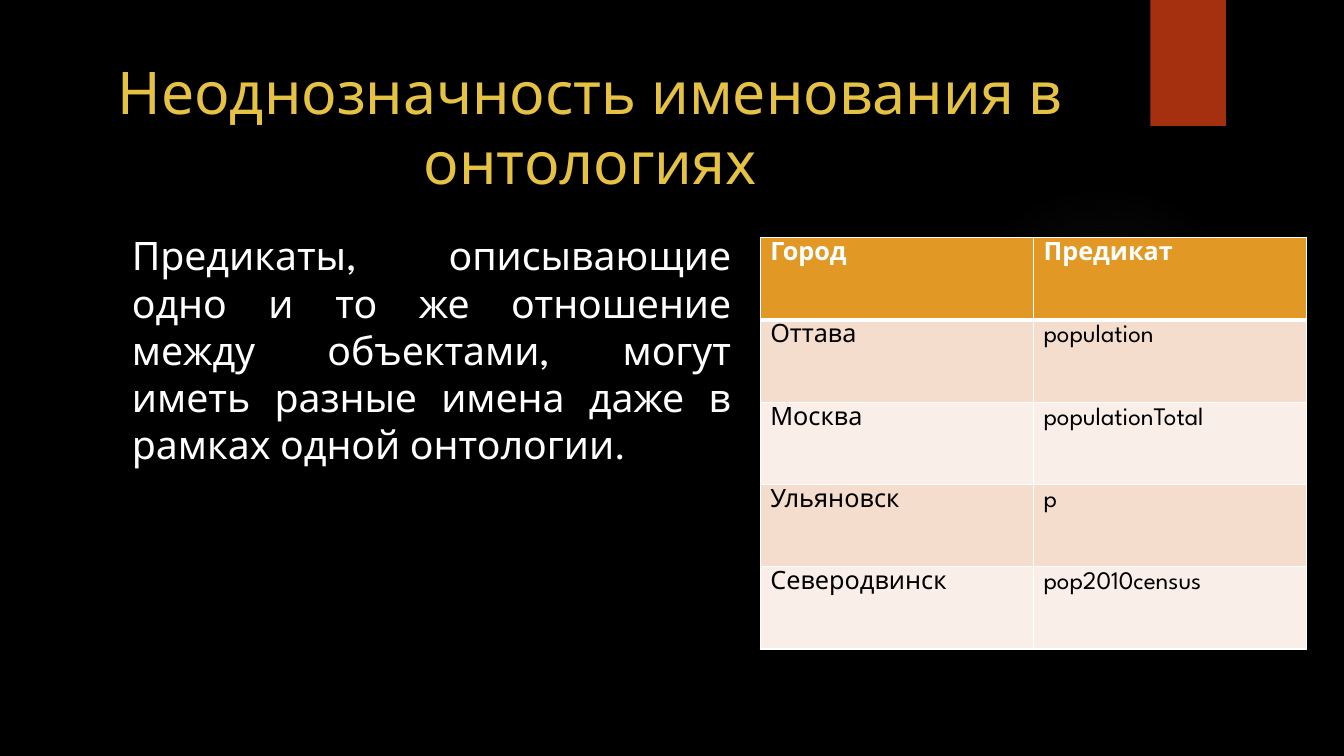
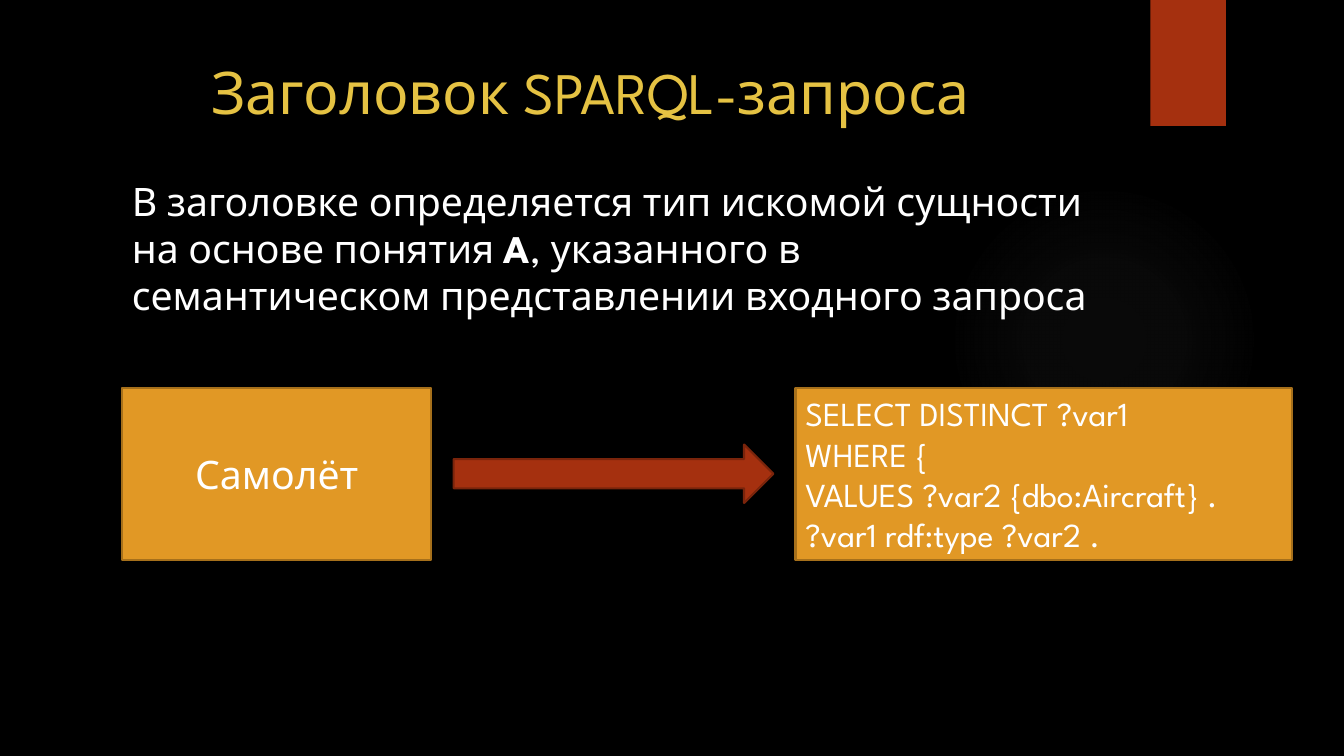
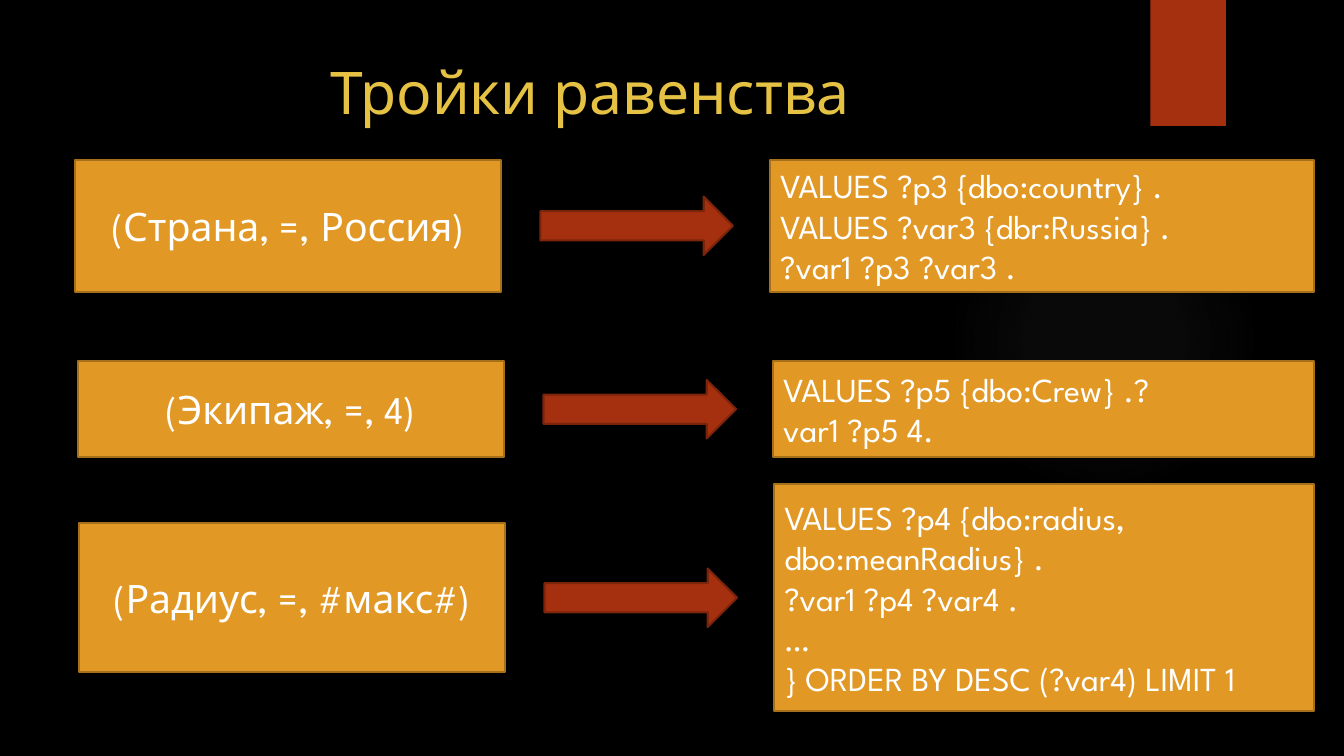
"""Build three slides on ontology naming and SPARQL query parts."""
from dataclasses import dataclass
from typing import NamedTuple

from pptx import Presentation
from pptx.dml.color import RGBColor as Rgb
from pptx.enum.shapes import MSO_SHAPE as Kind
from pptx.enum.text import MSO_ANCHOR as Anchor, PP_ALIGN as Align
from pptx.oxml import parse_xml as to_xml
from pptx.oxml.ns import nsdecls, qn
from pptx.util import Inches, Pt

FONT = "League Spartan"
HUES = {
    "back": "000000", "title": "E5C243", "text": "FFFFFF", "ink": "000000",
    "red": "A5300F", "rust": "7A240B", "gold": "E19825", "brown": "A6701B",
    "sand": "F4DDCD", "cream": "F9EFE8", "glow": "848484",
}
GLOW = [(0, 7), (36, 6), (69, 0)]
CITIES = [
    ("Город", "Предикат"),
    ("Оттава", "population"),
    ("Москва", "populationTotal"),
    ("Ульяновск", "p"),
    ("Северодвинск", "pop2010census"),
]


class Box(NamedTuple):
    x: float
    y: float
    w: float
    h: float

    def place(self):
        return [Inches(side) for side in self]


class Span(NamedTuple):
    x: float
    w: float

    def box(self, mid: float, high: float) -> Box:
        return Box(self.x, mid - high / 2, self.w, high)


@dataclass
class Step:
    mid: float
    term: str
    code: list[str]
    left: Span
    arrow: Span
    right: Span
    high: float
    tall: float


def hue(name: str) -> Rgb:
    return Rgb.from_string(HUES[name])


def style(run, size: float, color: str = "text", bold: bool = False) -> None:
    run.font.name = FONT
    run.font.size = Pt(size)
    run.font.bold = bold
    run.font.color.rgb = hue(color)


def write(frame, lines: list[str], size: float, align, color: str = "text") -> None:
    frame.word_wrap = True
    frame.text = "\n".join(lines)
    for para in frame.paragraphs:
        para.alignment = align
        for run in para.runs:
            style(run, size, color)


def text(slide, box: Box, line: str, size: float, align, color: str = "text"):
    frame = slide.shapes.add_textbox(*box.place()).text_frame
    write(frame, [line], size, align, color)
    return frame


def shape(slide, kind, box: Box, fill: str, edge: str = ""):
    item = slide.shapes.add_shape(kind, *box.place())
    item.shadow.inherit = False
    item.fill.solid()
    item.fill.fore_color.rgb = hue(fill)
    if edge:
        item.line.color.rgb = hue(edge)
        item.line.width = Pt(1.5)
    else:
        item.line.fill.background()
    return item


def add_glow(slide) -> None:
    item = shape(slide, Kind.OVAL, Box(9.41, 1.83, 3.08, 3.08), "glow")
    stops = "".join(
        f'<a:gs pos="{pos * 1000}"><a:srgbClr val="{HUES["glow"]}">'
        f'<a:alpha val="{alpha * 1000}"/></a:srgbClr></a:gs>'
        for pos, alpha in GLOW
    )
    fade = to_xml(
        f'<a:gradFill {nsdecls("a")}><a:gsLst>{stops}</a:gsLst><a:path path="circle">'
        '<a:fillToRect l="50000" t="50000" r="50000" b="50000"/></a:path></a:gradFill>'
    )
    props = item._element.spPr
    props.replace(props.find(qn("a:solidFill")), fade)


def new_slide(deck, title: str):
    slide = deck.slides.add_slide(deck.slide_layouts[6])
    slide.background.fill.solid()
    slide.background.fill.fore_color.rgb = hue("back")
    add_glow(slide)
    shape(slide, Kind.RECTANGLE, Box(11.41, 0, 0.75, 1.25), "red")
    text(slide, Box(0.71, 0.5, 10.29, 1.53), title, 42, Align.CENTER, "title")
    return slide


def add_edges(cell, row: int) -> None:
    props = cell._tc.get_or_add_tcPr()
    for side in "LRTB":
        thick = (row, side) in ((0, "B"), (1, "T"))
        props.append(to_xml(
            f'<a:ln{side} {nsdecls("a")} w="{Pt(3 if thick else 1)}"><a:solidFill>'
            f'<a:srgbClr val="{HUES["text"]}"/></a:solidFill></a:ln{side}>'
        ))


def add_grid(slide, box: Box, data: list[tuple[str, str]]) -> None:
    grid = slide.shapes.add_table(len(data), len(data[0]), *box.place()).table
    for row, words in enumerate(data):
        head = row == 0
        fill = "gold" if head else ("cream", "sand")[row % 2]
        for col, word in enumerate(words):
            cell = grid.cell(row, col)
            add_edges(cell, row)
            cell.fill.solid()
            cell.fill.fore_color.rgb = hue(fill)
            cell.text_frame.text = word
            run = cell.text_frame.paragraphs[0].runs[0]
            style(run, 18, "text" if head else "ink", head)


def add_card(slide, box: Box, lines: list[str], size: float, align) -> None:
    card = shape(slide, Kind.RECTANGLE, box, "gold", "brown")
    card.text_frame.vertical_anchor = Anchor.MIDDLE
    write(card.text_frame, lines, size, align)


def add_step(slide, step: Step) -> None:
    add_card(slide, step.left.box(step.mid, step.high), [step.term], 28, Align.CENTER)
    shape(slide, Kind.RIGHT_ARROW, step.arrow.box(step.mid, 0.58), "red", "rust")
    add_card(slide, step.right.box(step.mid, step.tall), step.code, 24, Align.LEFT)


def triple(x: float, mid: float, high: float, tall: float, term: str, code: list[str]) -> Step:
    start = x + 6.9
    return Step(mid, term, code, Span(x, 4.23), Span(x + 4.62, 1.91),
                Span(start, 13.03 - start), high, tall)


def add_names(deck) -> None:
    slide = new_slide(deck, "Неоднозначность именования в онтологиях")
    text(slide, Box(1.21, 2.25, 6.14, 4.59),
         "Предикаты, описывающие одно и то же отношение между объектами, "
         "могут иметь разные имена даже в рамках одной онтологии.", 28, Align.JUSTIFY)
    add_grid(slide, Box(7.54, 2.36, 5.42, 4.08), CITIES)


def add_header(deck) -> None:
    slide = new_slide(deck, "Заголовок SPARQL-запроса")
    frame = text(slide, Box(1.21, 1.71, 9.78, 1.5),
                 "В заголовке определяется тип искомой сущности на основе понятия ",
                 28, Align.LEFT)
    para = frame.paragraphs[0]
    for part in ("A", ", указанного в ", "семантическом представлении входного запроса"):
        if part.startswith("сем"):
            para.add_line_break()
        run = para.add_run()
        run.text = part
        style(run, 28, bold=part == "A")
    code = ["SELECT DISTINCT ?var1", "WHERE {",
            "VALUES ?var2 {dbo:Aircraft} .", "?var1 rdf:type ?var2 ."]
    add_step(slide, Step(4.7, "Самолёт", code, Span(1.21, 3.07), Span(4.5, 3.17),
                         Span(7.89, 4.92), 1.71, 1.71))


def add_triples(deck) -> None:
    slide = new_slide(deck, "Тройки равенства")
    steps = [
        triple(0.74, 2.24, 1.31, 1.31, "(Страна, =, Россия)",
               ["VALUES ?p3 {dbo:country} .", "VALUES ?var3 {dbr:Russia} .",
                "?var1 ?p3 ?var3 ."]),
        triple(0.77, 4.06, 0.95, 0.95, "(Экипаж, =, 4)",
               ["VALUES ?p5 {dbo:Crew} .?\vvar1 ?p5 4."]),
        triple(0.78, 5.93, 1.48, 2.25, "(Радиус, =, #макс#)",
               ["VALUES ?p4 {dbo:radius, dbo:meanRadius} .", "?var1 ?p4 ?var4 .",
                "…", "} ORDER BY DESC (?var4) LIMIT 1"]),
    ]
    for step in steps:
        add_step(slide, step)


def main() -> None:
    deck = Presentation()
    deck.slide_width, deck.slide_height = Inches(13.33), Inches(7.5)
    add_names(deck)
    add_header(deck)
    add_triples(deck)
    deck.save("out.pptx")


if __name__ == "__main__":
    main()
